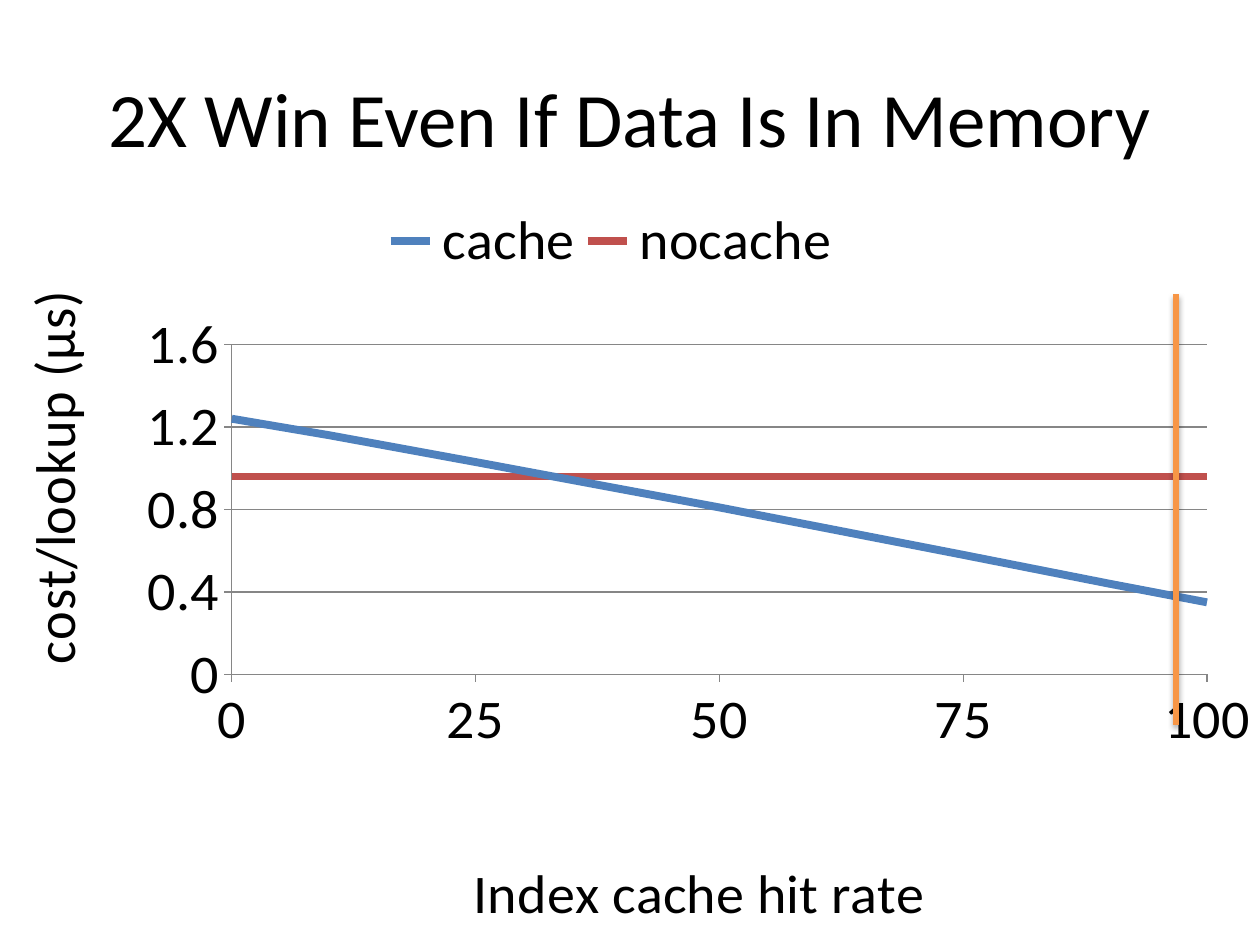
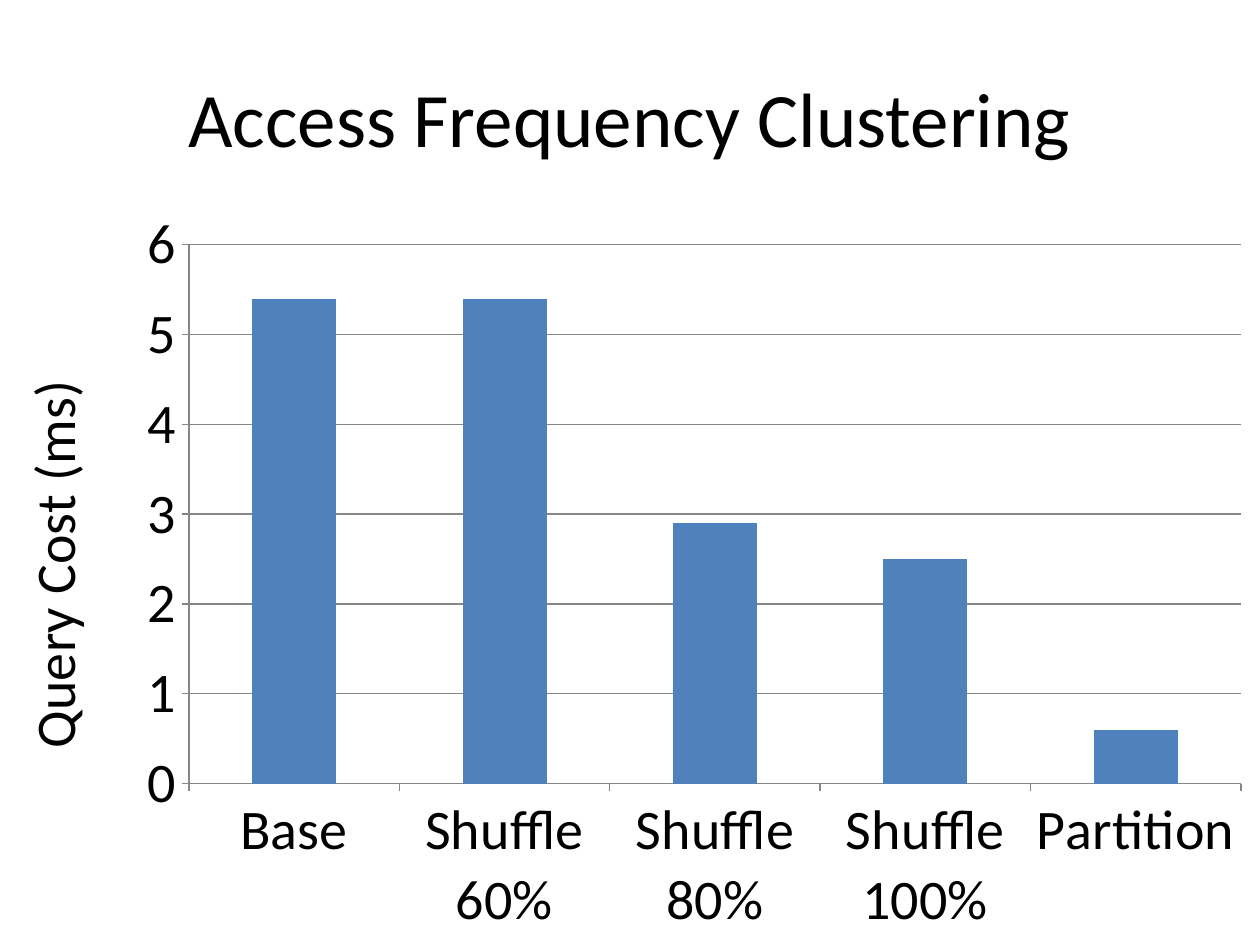
"""Build two slides of charts on lookup cost and query cost."""
from lxml.etree import SubElement
from pptx import Presentation
from pptx.chart.data import CategoryChartData, XyChartData
from pptx.dml.color import RGBColor
from pptx.enum.chart import XL_CHART_TYPE, XL_LEGEND_POSITION, XL_TICK_MARK
from pptx.enum.shapes import MSO_CONNECTOR
from pptx.enum.text import MSO_ANCHOR, PP_ALIGN
from pptx.oxml import parse_xml
from pptx.oxml.ns import nsdecls, qn
from pptx.util import Pt

COLORS = {"text": "000000", "grid": "868686", "blue": "4F81BD",
          "red": "C0504D", "marker": "F79646"}
FONT = "Calibri"
CHART_SIZE = 32

HIT_RATES = [0, 10, 25, 50, 75, 90, 100]
LOOKUP_COSTS = [
    ("cache", [1.24, 1.16, 1.03, 0.81, 0.58, 0.44, 0.35], "blue"),
    ("nocache", [0.96] * len(HIT_RATES), "red"),
]
QUERY_COSTS = {"Base": 5.4, "Shuffle 60%": 5.4, "Shuffle 80%": 2.9,
               "Shuffle 100%": 2.5, "Partition": 0.6}


def rgb(name):
    return RGBColor.from_string(COLORS[name])


def style_font(font, size):
    font.name = FONT
    font.size = Pt(size)
    font.bold = False
    font.color.rgb = rgb("text")


def style_line(line, color, width):
    line.color.rgb = rgb(color)
    line.width = Pt(width)


def make_layout(**values):
    layout = parse_xml(f"<c:layout {nsdecls('c')}/>")
    manual = SubElement(layout, qn("c:manualLayout"))
    for tag, value in values.items():
        SubElement(manual, qn(f"c:{tag}")).set("val", str(value))
    return layout


def drop_layout(parent):
    for layout in parent.findall(qn("c:layout")):
        parent.remove(layout)


def add_titled_slide(deck, text):
    slide = deck.slides.add_slide(deck.slide_layouts[5])
    title = slide.shapes.title
    title.left, title.top, title.width, title.height = Pt(36), Pt(21.6), Pt(648), Pt(90)
    title.text_frame.text = text
    title.text_frame.vertical_anchor = MSO_ANCHOR.MIDDLE
    para = title.text_frame.paragraphs[0]
    para.alignment = PP_ALIGN.CENTER
    style_font(para.font, 44)
    return slide


def add_plain_chart(slide, kind, data, top, plot_box):
    chart = slide.shapes.add_chart(kind, 0, Pt(top), Pt(720), Pt(540 - top), data).chart
    chart.has_title = False
    chart.has_legend = False
    style_font(chart.font, CHART_SIZE)
    chart.plots[0].vary_by_categories = False
    plot_area = chart._chartSpace.chart.plotArea
    drop_layout(plot_area)
    left, upper, width, height = plot_box
    plot_area.insert(0, make_layout(layoutTarget="inner", xMode="edge", yMode="edge",
                                    x=left, y=upper, w=width, h=height))
    for axis in (chart.category_axis, chart.value_axis):
        axis.major_tick_mark = XL_TICK_MARK.OUTSIDE
        axis.minor_tick_mark = XL_TICK_MARK.NONE
        style_line(axis.format.line, "grid", 0.75)
    chart.category_axis.has_major_gridlines = False
    chart.value_axis.has_major_gridlines = True
    style_line(chart.value_axis.major_gridlines.format.line, "grid", 0.75)
    return chart


def scale_axis(axis, maximum, step):
    axis.minimum_scale, axis.maximum_scale, axis.major_unit = 0, maximum, step
    axis.tick_labels.number_format = "General"
    axis.tick_labels.number_format_is_linked = False


def name_axis(axis, text, left, top, upright=False):
    frame = axis.axis_title.text_frame
    frame.text = text
    style_font(frame.paragraphs[0].font, CHART_SIZE)
    body = frame._txBody.find(qn("a:bodyPr"))
    body.set("rot", "-5400000" if upright else "0")
    body.set("vert", "horz")
    title = axis.axis_title._element
    drop_layout(title)
    title.find(qn("c:tx")).addnext(make_layout(xMode="edge", yMode="edge", x=left, y=top))


def add_top_legend(chart):
    chart.has_legend = True
    legend = chart.legend
    legend.position = XL_LEGEND_POSITION.TOP
    legend.include_in_layout = False
    style_font(legend.font, CHART_SIZE)
    drop_layout(legend._element)
    legend._element.find(qn("c:legendPos")).addnext(
        make_layout(xMode="edge", yMode="edge", x=0.3, y=0, w=0.37, h=0.115))


def add_hit_rate_marker(slide):
    marker = slide.shapes.add_connector(
        MSO_CONNECTOR.STRAIGHT, Pt(672), Pt(414), Pt(672), Pt(168))
    style_line(marker.line, "marker", 3)
    marker._element.spPr.append(parse_xml(
        f'<a:effectLst {nsdecls("a")}><a:outerShdw blurRad="{Pt(3.1)}" dist="{Pt(1.8)}" '
        f'dir="5400000" rotWithShape="0"><a:srgbClr val="{COLORS["text"]}">'
        '<a:alpha val="35000"/></a:srgbClr></a:outerShdw></a:effectLst>'))


def build_lookup_slide(deck):
    slide = add_titled_slide(deck, "2X Win Even If Data Is In Memory")
    data = XyChartData()
    for name, costs, _ in LOOKUP_COSTS:
        series = data.add_series(name)
        for rate, cost in zip(HIT_RATES, costs):
            series.add_data_point(rate, cost)
    chart = add_plain_chart(slide, XL_CHART_TYPE.XY_SCATTER_LINES_NO_MARKERS, data,
                            113.76, (0.184, 0.201, 0.774, 0.456))
    for series, (_, _, color) in zip(chart.plots[0].series, LOOKUP_COSTS):
        series.smooth = False
        style_line(series.format.line, color, 4.5)
    scale_axis(chart.category_axis, 100, 25)
    scale_axis(chart.value_axis, 1.6, 0.4)
    name_axis(chart.category_axis, "Index cache hit rate", 0.368, 0.892)
    name_axis(chart.value_axis, "cost/lookup (µs)", 0.004, 0.128, upright=True)
    add_top_legend(chart)
    add_hit_rate_marker(slide)


def build_query_slide(deck):
    slide = add_titled_slide(deck, "Access Frequency Clustering")
    data = CategoryChartData()
    data.categories = list(QUERY_COSTS)
    data.add_series("Series 1", list(QUERY_COSTS.values()))
    chart = add_plain_chart(slide, XL_CHART_TYPE.COLUMN_CLUSTERED, data,
                            120, (0.15, 0.045, 0.835, 0.735))
    chart.plots[0].gap_width = 150
    fill = chart.plots[0].series[0].format.fill
    fill.solid()
    fill.fore_color.rgb = rgb("blue")
    scale_axis(chart.value_axis, 6, 1)
    name_axis(chart.value_axis, "Query Cost (ms)", 0.004, 0.217, upright=True)


def main():
    deck = Presentation()
    deck.slide_width, deck.slide_height = Pt(720), Pt(540)
    build_lookup_slide(deck)
    build_query_slide(deck)
    deck.save("out.pptx")


if __name__ == "__main__":
    main()
